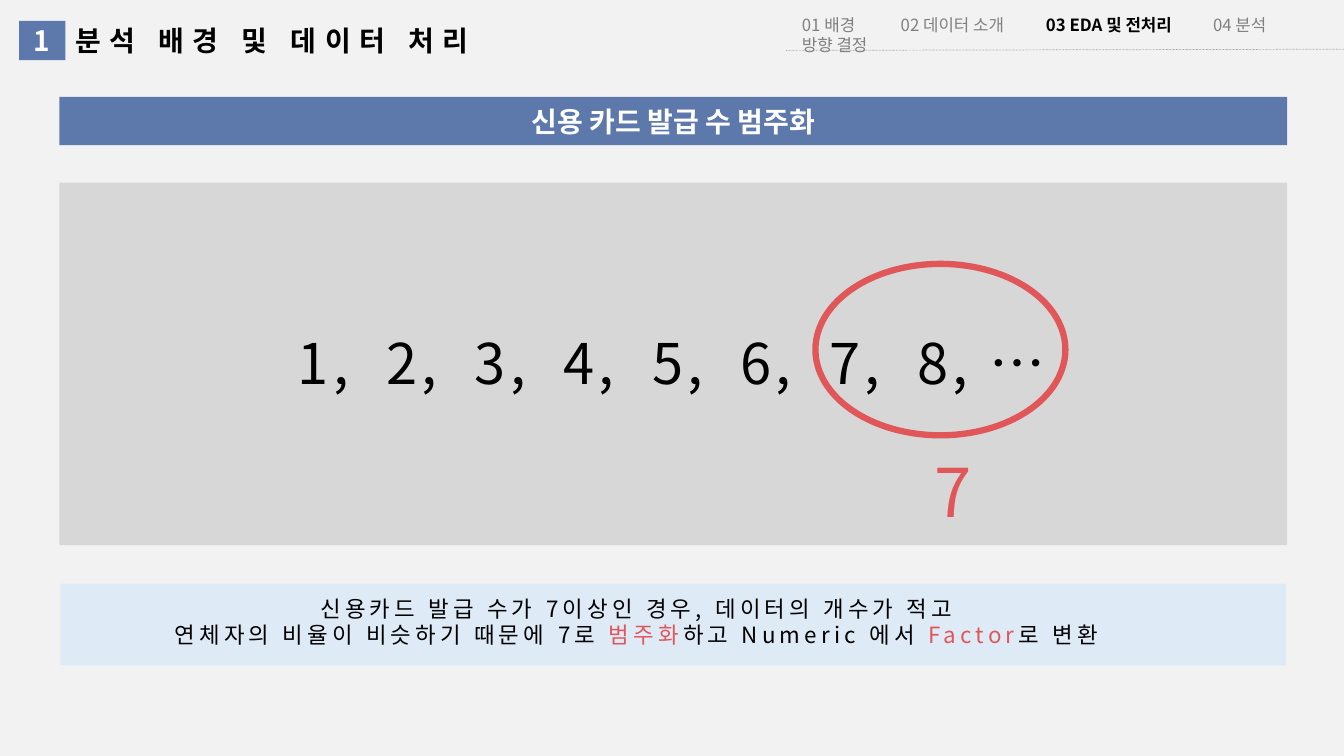
from dataclasses import dataclass

import pptx
import pptx.dml.color
import pptx.enum.dml
import pptx.enum.shapes
import pptx.enum.text
import pptx.oxml
import pptx.oxml.ns
import pptx.util
from pptx.util import Cm

FONT = "Noto Sans CJK KR"
COLORS = {
    "background": "F2F2F2",
    "blue": "5D78AB",
    "pale": "DEEBF7",
    "gray": "A6A6A6",
    "muted": "808080",
    "red": "E15759",
    "black": "000000",
    "white": "FFFFFF",
}
SHAPES = pptx.enum.shapes.MSO_SHAPE
ALIGN = pptx.enum.text.PP_ALIGN
ANCHOR = pptx.enum.text.MSO_ANCHOR


@dataclass
class Area:
    left: float
    top: float
    width: float
    height: float

    def lengths(self) -> list:
        return [Cm(n) for n in (self.left, self.top, self.width, self.height)]


@dataclass
class Span:
    text: str
    color: str = "black"
    bold: bool = False
    spacing: float = 0


@dataclass
class Panel:
    area: Area
    fill: str
    label: str = ""
    opacity: int = 100


@dataclass
class TextBlock:
    area: Area
    size: int
    lines: list[list[Span]]
    align: ALIGN = ALIGN.CENTER
    tabs: tuple = ()


def rgb(name: str) -> pptx.dml.color.RGBColor:
    return pptx.dml.color.RGBColor.from_string(COLORS[name])


def add_element(parent, tag: str, **attributes):
    element = pptx.oxml.parse_xml(f"<{tag} {pptx.oxml.ns.nsdecls('a')}/>")
    for name, value in attributes.items():
        element.set(name, str(value))
    parent.append(element)
    return element


def write_lines(frame, block: TextBlock) -> None:
    frame.word_wrap = True
    for number, line in enumerate(block.lines):
        para = frame.add_paragraph() if number else frame.paragraphs[0]
        para.alignment = block.align
        if block.tabs:
            stops = add_element(para._p.get_or_add_pPr(), "a:tabLst")
            for stop in block.tabs:
                add_element(stops, "a:tab", pos=Cm(stop), algn="l")
        for span in line:
            run = para.add_run()
            run.text = span.text
            run.font.name = FONT
            run.font.size = pptx.util.Pt(block.size)
            run.font.bold = span.bold
            run.font.color.rgb = rgb(span.color)
            properties = run._r.get_or_add_rPr()
            properties.set("spc", str(round(span.spacing * 100)))
            add_element(properties, "a:ea", typeface=FONT)


def add_panel(slide, panel: Panel) -> None:
    shape = slide.shapes.add_shape(SHAPES.RECTANGLE, *panel.area.lengths())
    shape.shadow.inherit = False
    shape.fill.solid()
    shape.fill.fore_color.rgb = rgb(panel.fill)
    shape.line.fill.background()
    if panel.opacity < 100:
        color = shape._element.spPr.find(".//" + pptx.oxml.ns.qn("a:srgbClr"))
        add_element(color, "a:alpha", val=panel.opacity * 1000)
    if panel.label:
        shape.text_frame.vertical_anchor = ANCHOR.MIDDLE
        label = Span(panel.label, "white", bold=True)
        write_lines(shape.text_frame, TextBlock(panel.area, 20, [[label]]))


def add_text(slide, block: TextBlock) -> None:
    box = slide.shapes.add_textbox(*block.area.lengths())
    write_lines(box.text_frame, block)


def add_title(slide) -> None:
    title = slide.shapes.title
    area = Area(1.65, 0.46, 10.64, 1.96)
    title.left, title.top, title.width, title.height = area.lengths()
    frame = title.text_frame
    frame.auto_size = pptx.enum.text.MSO_AUTO_SIZE.NONE
    frame.vertical_anchor = ANCHOR.TOP
    frame.margin_right = 0
    heading = Span("분석 배경 및 데이터 처리", bold=True, spacing=6)
    write_lines(frame, TextBlock(area, 20, [[heading]], ALIGN.LEFT))


def add_header_rule(slide) -> None:
    rule = slide.shapes.add_connector(
        pptx.enum.shapes.MSO_CONNECTOR.STRAIGHT, Cm(19.81), Cm(1.27), Cm(33.87), Cm(1.24)
    )
    rule.line.color.rgb = rgb("gray")
    rule.line.width = pptx.util.Pt(0.5)
    rule.line.dash_style = pptx.enum.dml.MSO_LINE.ROUND_DOT
    add_element(rule._element.spPr, "a:effectLst")


def add_ring(slide) -> None:
    ring = slide.shapes.add_shape(SHAPES.OVAL, *Area(20.55, 6.65, 6.3, 4.32).lengths())
    ring.shadow.inherit = False
    ring.fill.background()
    ring.line.color.rgb = rgb("red")
    ring.line.width = pptx.util.Pt(4.5)


def card_counts() -> list[Span]:
    """Numbers 1 to 8 with wide spaces between them, then an ellipsis."""
    spans = []
    for number in range(1, 9):
        if number > 1:
            spans.append(Span(" ", spacing=15))
        spans.append(Span(f"{number},", spacing=3))
    return spans + [Span(" …", spacing=3)]


PANELS = [
    Panel(Area(1.5, 4.6, 30.94, 9.14), "gray", opacity=35),
    Panel(Area(1.52, 14.71, 30.89, 2.06), "pale"),
    Panel(Area(1.5, 2.44, 30.94, 1.22), "blue", "신용 카드 발급 수 범주화"),
    Panel(Area(0.48, 0.53, 1.17, 0.99), "blue", "1"),
]
NAVIGATION = [
    Span("01 배경\t02 데이터 소개\t", "muted"),
    Span("03 EDA 및 전처리\t", bold=True),
    Span("04 분석 방향 결정", "muted"),
]
CONCLUSION = [
    [Span("신용카드 발급 수가 7이상인 경우, 데이터의 개수가 적고", spacing=3)],
    [
        Span("연체자의 비율이 비슷하기 때문에 7로", spacing=3),
        Span(" 범주화", "red", spacing=3),
        Span("하고 Numeric 에서 ", spacing=3),
        Span("Factor", "red", spacing=3),
        Span("로 변환", spacing=3),
    ],
]
TEXTS = [
    TextBlock(Area(19.96, 0.25, 12.8, 0.76), 12, [NAVIGATION], ALIGN.LEFT, (2.49, 6.15, 10.36)),
    TextBlock(Area(2.79, 8.15, 28.27, 1.96), 40, [card_counts()]),
    TextBlock(Area(22.94, 11.23, 2.16, 2.31), 48, [[Span("7", "red", spacing=3)]]),
    TextBlock(Area(1.5, 14.86, 29.08, 1.63), 16, CONCLUSION),
]


def main() -> None:
    deck = pptx.Presentation()
    deck.slide_width, deck.slide_height = Cm(33.87), Cm(19.05)
    slide = deck.slides.add_slide(deck.slide_layouts[5])
    slide.background.fill.solid()
    slide.background.fill.fore_color.rgb = rgb("background")
    add_title(slide)
    for panel in PANELS:
        add_panel(slide, panel)
    add_header_rule(slide)
    add_ring(slide)
    for block in TEXTS:
        add_text(slide, block)
    deck.save("out.pptx")


if __name__ == "__main__":
    main()
